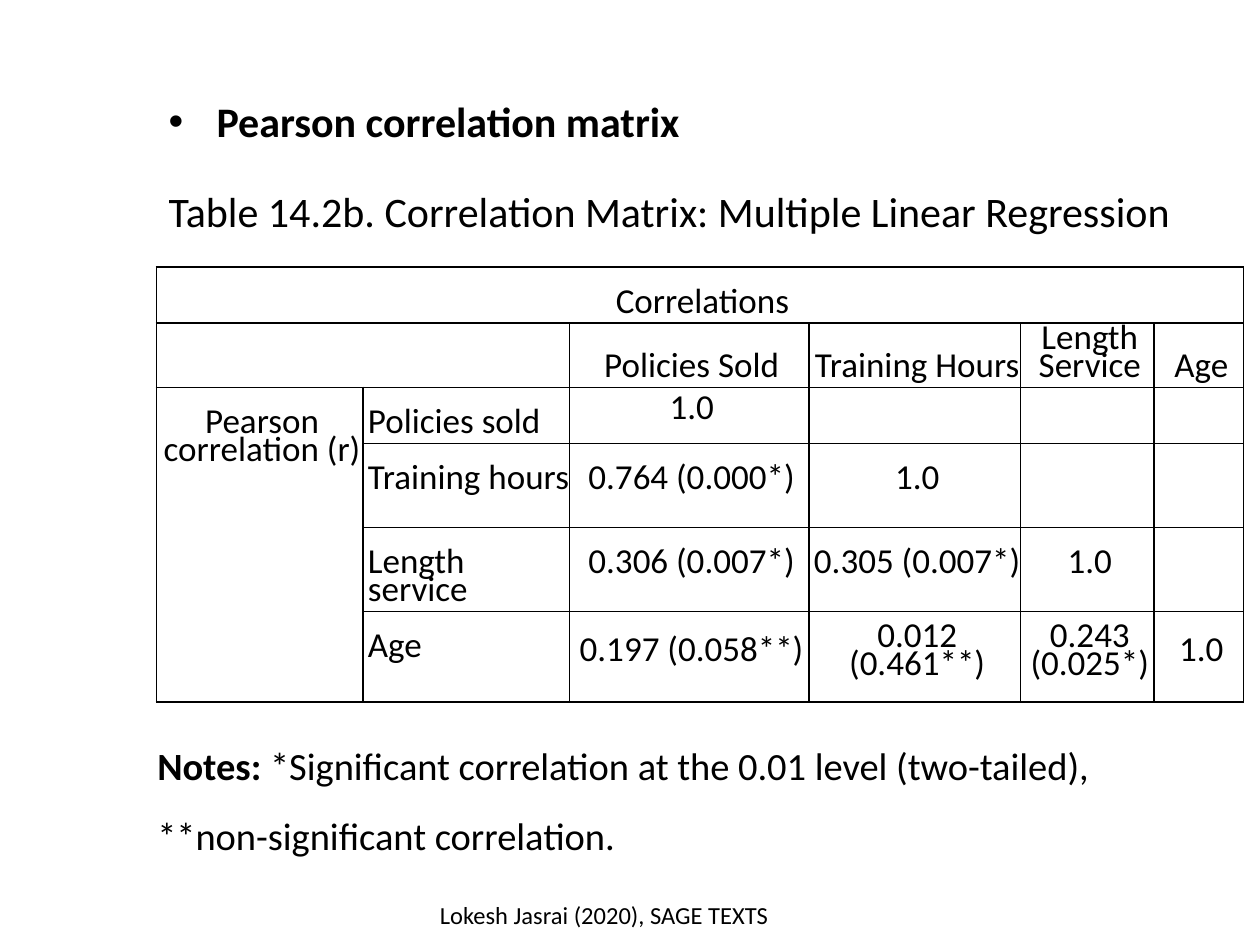
"""Build a slide with a Pearson correlation matrix, its caption and notes."""
import pptx
import pptx.dml.color
import pptx.enum.text
import pptx.oxml
import pptx.oxml.ns
import pptx.util

BLACK = pptx.dml.color.RGBColor(0, 0, 0)
ALIGN = pptx.enum.text.PP_ALIGN
ANCHOR = pptx.enum.text.MSO_ANCHOR
NS = pptx.oxml.ns.nsdecls("a")

deck = pptx.Presentation()
deck.slide_width = pptx.util.Inches(10)
deck.slide_height = pptx.util.Inches(7.5)
slide = deck.slides.add_slide(deck.slide_layouts[6])


def share(x, y):
    """Turn percentages of the slide's width and height into lengths."""
    return int(deck.slide_width * x / 100), int(deck.slide_height * y / 100)


def write(para, text, size, bold=False):
    """Add one run to a paragraph."""
    run = para.add_run()
    run.text = text
    run.font.name = "Calibri"
    run.font.size = pptx.util.Pt(size)
    run.font.bold = bold
    run.font.color.rgb = BLACK


boxes = [
    ((12.4, 9.47), (48.9, 8.53), 24, [("Pearson correlation matrix", True)]),
    ((12.4, 18.93), (82.8, 6.67), 24,
     [("Table 14.2b. Correlation Matrix: Multiple Linear Regression", False)]),
    ((11.5, 75.47), (83.9, 15.33), 22,
     [("Notes:", True),
      (" *Significant correlation at the 0.01 level (two-tailed), "
       "**non-significant correlation.", False)]),
    ((30.1, 94.53), (35.7, 5.33), 14, [("Lokesh Jasrai (2020), SAGE TEXTS", False)]),
]
frames = []
for spot, area, size, runs in boxes:
    frame = slide.shapes.add_textbox(*share(*spot), *share(*area)).text_frame
    frame.word_wrap = True
    for text, bold in runs:
        write(frame.paragraphs[0], text, size, bold)
    frames.append(frame)

head, title, notes, foot = frames
props = head.paragraphs[0]._p.get_or_add_pPr()
props.set("marL", str(pptx.util.Inches(0.38)))
props.set("indent", str(-pptx.util.Inches(0.38)))
props.append(pptx.oxml.parse_xml(f'<a:buFont {NS} typeface="Arial"/>'))
props.append(pptx.oxml.parse_xml(f'<a:buChar {NS} char="•"/>'))
title.vertical_anchor = ANCHOR.MIDDLE
notes.paragraphs[0].line_spacing = 1.5
foot.paragraphs[0].alignment = ALIGN.CENTER

rows = [
    ["Correlations", "", "", "", "", ""],
    ["", "", "Policies Sold", "Training Hours", "Length Service", "Age"],
    ["Pearson correlation (r)", "Policies sold", "1.0", "", "", ""],
    ["", "Training hours", "0.764 (0.000*)", "1.0", "", ""],
    ["", "Length service", "0.306 (0.007*)", "0.305 (0.007*)", "1.0", ""],
    ["", "Age", "0.197 (0.058**)", "0.012 (0.461**)", "0.243 (0.025*)", "1.0"],
]
widths = [16.4, 16.4, 19, 16.8, 10.6, 7.1]
heights = [5.93, 6.8, 5.93, 8.89, 8.89, 9.6]
table = slide.shapes.add_table(
    len(rows), len(widths), *share(12.4, 28.27), *share(sum(widths), sum(heights))
).table
table.first_row = False
table.horz_banding = False
for col, width in zip(table.columns, widths):
    col.width = share(width, 0)[0]
for row, height in zip(table.rows, heights):
    row.height = share(0, height)[1]

for r, row in enumerate(rows):
    for c, text in enumerate(row):
        cell = table.cell(r, c)
        cell.margin_left = cell.margin_right = 0
        cell.margin_top = cell.margin_bottom = 0
        label = r > 1 and c < 2
        if r == 0 or label:
            cell.margin_top = pptx.util.Pt(16)
        if r == 1:
            cell.vertical_anchor = ANCHOR.BOTTOM
        elif label:
            cell.vertical_anchor = ANCHOR.TOP
        else:
            cell.vertical_anchor = ANCHOR.MIDDLE
        for side in "LRTB":
            cell._tc.get_or_add_tcPr().append(pptx.oxml.parse_xml(
                f'<a:ln{side} {NS} w="12700"><a:solidFill>'
                f'<a:srgbClr val="{BLACK}"/></a:solidFill></a:ln{side}>'))
        cell.fill.background()
        para = cell.text_frame.paragraphs[0]
        para.line_spacing = pptx.util.Pt(16)
        para.alignment = ALIGN.LEFT if label and c == 1 else ALIGN.CENTER
        para._p.get_or_add_pPr().set("marL", str(pptx.util.Inches(0.04)))
        para._p.get_or_add_pPr().set("indent", "0")
        if text:
            write(para, text, 20)

for first, last in [((0, 0), (0, 5)), ((1, 0), (1, 1)), ((2, 0), (5, 0))]:
    table.cell(*first).merge(table.cell(*last))

deck.save("out.pptx")
